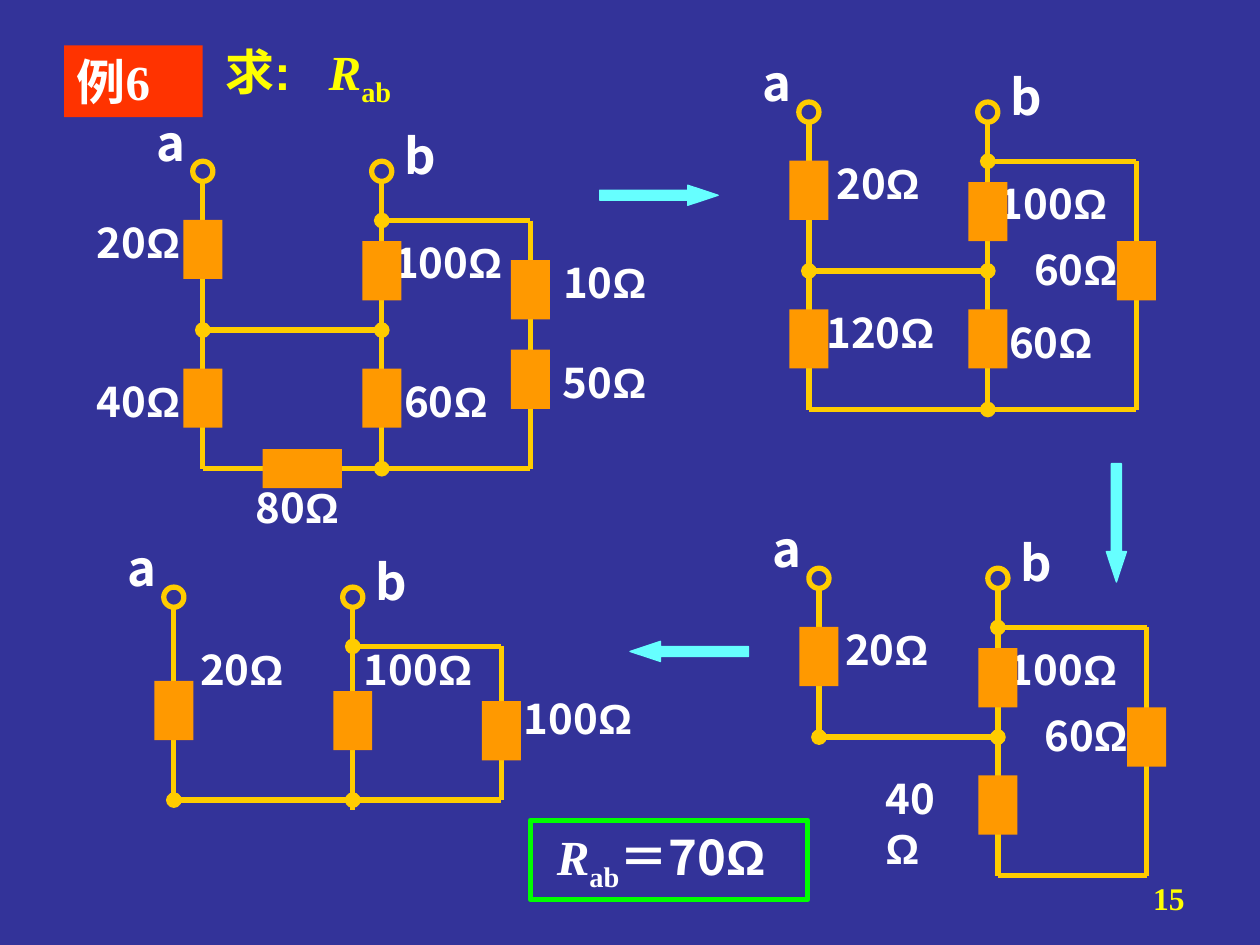
"""Build the worked example that reduces a resistor network to find R_ab."""
from lxml import etree
from pptx import Presentation, util as u
from pptx.dml.color import RGBColor
from pptx.enum import shapes, text
from pptx.oxml.ns import qn

NAVY = RGBColor(0x33, 0x33, 0x99)
RED = RGBColor(0xFF, 0x33, 0x00)
WHITE = RGBColor(0xFF, 0xFF, 0xFF)
YELLOW = RGBColor(0xFF, 0xFF, 0x00)
GOLD = RGBColor(0xFF, 0xCC, 0x00)
ORANGE = RGBColor(0xFF, 0x99, 0x00)
CYAN = RGBColor(0x66, 0xFF, 0xFF)
GREEN = RGBColor(0x00, 0xFF, 0x00)

SANS, ARIAL, SERIF = "Noto Sans CJK SC", "Arial", "Times New Roman"
A_X, B_X, RIGHT_X = 0, 1.42, 2.6
TERMINAL_R, TOP_Y, MID_Y, LOW_Y, SHORT_Y = 0.08, 0.39, 1.26, 2.36, 1.61
UPRIGHT, FLAT = (0.31, 0.47), (0.63, 0.31)

RIGHT_LOOP = [(B_X, TOP_Y, RIGHT_X, TOP_Y, "head"),
              (RIGHT_X, TOP_Y, RIGHT_X, LOW_Y, ""),
              (B_X, LOW_Y, RIGHT_X, LOW_Y, ""),
              (B_X, TERMINAL_R, B_X, LOW_Y, ""),
              (A_X, MID_Y, B_X, MID_Y, "head tail")]
FULL_WIRES = RIGHT_LOOP + [(A_X, TERMINAL_R, A_X, LOW_Y, ""),
                           (A_X, LOW_Y, B_X, LOW_Y, "tail")]
OPEN_WIRES = RIGHT_LOOP + [(A_X, TERMINAL_R, A_X, MID_Y, "")]
SHORT_WIRES = [(A_X, TERMINAL_R, A_X, SHORT_Y, ""),
               (A_X, SHORT_Y, B_X, SHORT_Y, "head tail"),
               (B_X, TOP_Y, RIGHT_X, TOP_Y, "head"),
               (RIGHT_X, TOP_Y, RIGHT_X, SHORT_Y, ""),
               (B_X, SHORT_Y, RIGHT_X, SHORT_Y, ""),
               (B_X, TERMINAL_R, B_X, SHORT_Y + 0.08, "")]

# Each resistor: ohms, centre x, centre y, size, label left, top and width.
CIRCUITS = [
    ((1.61, 1.36), FULL_WIRES, [
        ("20", A_X, 0.62, UPRIGHT, -0.94, 0.31, 1.1),
        ("40", A_X, 1.8, UPRIGHT, -0.94, 1.57, 1.1),
        ("80", 0.79, LOW_Y, FLAT, 0.32, 2.41, 1.1),
        ("100", B_X, 0.79, UPRIGHT, 1.42, 0.47, 1.1),
        ("60", B_X, 1.8, UPRIGHT, 1.5, 1.57, 1.02),
        ("10", RIGHT_X, 0.94, UPRIGHT, 2.76, 0.63, 1.02),
        ("50", RIGHT_X, 1.65, UPRIGHT, 2.76, 1.42, 1.1)]),
    ((6.42, 0.89), FULL_WIRES, [
        ("20", A_X, 0.62, UPRIGHT, 0.12, 0.31, 1.1),
        ("120", A_X, 1.8, UPRIGHT, 0.04, 1.49, 1.1),
        ("100", B_X, 0.79, UPRIGHT, 1.41, 0.47, 1.1),
        ("60", B_X, 1.8, UPRIGHT, 1.49, 1.57, 1.02),
        ("60", RIGHT_X, MID_Y, UPRIGHT, 1.69, 0.99, 1.1)]),
    ((6.5, 4.59), OPEN_WIRES, [
        ("20", A_X, 0.62, UPRIGHT, 0.11, 0.31, 1.1),
        ("100", B_X, 0.79, UPRIGHT, 1.41, 0.47, 1.1),
        ("40", B_X, 1.8, UPRIGHT, 0.43, 1.49, 0.83),
        ("60", RIGHT_X, MID_Y, UPRIGHT, 1.69, 0.99, 1.1)]),
    ((1.38, 4.74), SHORT_WIRES, [
        ("20", A_X, 0.9, UPRIGHT, 0.11, 0.32, 1.1),
        ("100", B_X, 0.98, UPRIGHT, 1.41, 0.32, 1.1),
        ("100", RIGHT_X, 1.06, UPRIGHT, 2.68, 0.71, 1.1)]),
]


def inches(*lengths):
    """Convert lengths to Inches."""
    return [u.Inches(length) for length in lengths]


def write(holder, runs, size, color, align=text.PP_ALIGN.LEFT, tab=None, left=0.1):
    """Write (words, font, style) runs into the first paragraph."""
    frame = holder.text_frame
    frame.word_wrap = True
    frame.vertical_anchor = text.MSO_ANCHOR.TOP
    frame.margin_left = u.Inches(left)
    paragraph = frame.paragraphs[0]
    paragraph.alignment = align
    if tab:
        stops = etree.SubElement(paragraph._p.get_or_add_pPr(), qn("a:tabLst"))
        etree.SubElement(stops, qn("a:tab"), pos=str(u.Inches(tab)), algn="l")
    for words, face, style in runs:
        run = paragraph.add_run()
        run.text = words
        font = run.font
        font.size, font.bold, font.name = u.Pt(size), True, face
        font.italic = style == "italic"
        font.color.rgb = color
        properties = run._r.get_or_add_rPr()
        etree.SubElement(properties, qn("a:ea"), typeface=SANS)
        if style == "sub":
            properties.set("baseline", "-25000")


def add_text(slide, at, runs, size, color, **layout):
    """Add a text box."""
    write(slide.shapes.add_textbox(*inches(*at)), runs, size, color, **layout)


def add_block(slide, kind, at, fill=None, line=None, width=3):
    """Add a preset shape with optional fill and outline."""
    block = slide.shapes.add_shape(kind, *inches(*at))
    block.shadow.inherit = False
    if fill is None:
        block.fill.background()
    else:
        block.fill.solid()
        block.fill.fore_color.rgb = fill
    if line is None:
        block.line.fill.background()
    else:
        block.line.color.rgb = line
        block.line.width = u.Pt(width)
    return block


def add_wire(slide, start, end, dots):
    """Add a wire with round junction dots at the named ends."""
    wire = slide.shapes.add_connector(shapes.MSO_CONNECTOR.STRAIGHT, *inches(*start, *end))
    wire.line.color.rgb = GOLD
    wire.line.width = u.Pt(3)
    for dot in dots.split():
        etree.SubElement(wire.line._get_or_add_ln(), qn(f"a:{dot}End"), type="oval")
    etree.SubElement(wire._element.spPr, qn("a:effectLst"))


def add_circuit(slide, origin, wires, resistors):
    """Draw one circuit from the centre of its terminal a."""
    x0, y0 = origin
    for name, x, label_x, label_y in (("a", A_X, -0.47, -0.52), ("b", B_X, 1.5, -0.41)):
        add_block(slide, shapes.MSO_SHAPE.OVAL,
                  (x0 + x - TERMINAL_R, y0 - TERMINAL_R, 2 * TERMINAL_R, 2 * TERMINAL_R),
                  line=GOLD)
        add_text(slide, (x0 + label_x, y0 + label_y, 0.39, 0.57),
                 [(name, SANS, "")], 28, WHITE)
    for x1, y1, x2, y2, dots in wires:
        add_wire(slide, (x0 + x1, y0 + y1), (x0 + x2, y0 + y2), dots)

    def add_labels(in_front):
        """Label the branches left of b in front, the others behind."""
        for ohms, x, _, _, left, top, width in resistors:
            if (x < B_X) == in_front:
                add_text(slide, (x0 + left, y0 + top, width, 0.5),
                         [(ohms, SANS, ""), ("Ω", ARIAL, "")], 24, WHITE)

    add_labels(False)
    for _, x, y, (width, height), *_ in resistors:
        add_block(slide, shapes.MSO_SHAPE.RECTANGLE,
                  (x0 + x - width / 2, y0 + y - height / 2, width, height), fill=ORANGE)
    add_labels(True)


def add_step_arrow(slide, left, top, turn):
    """Add an arrow leading to the next simplification."""
    arrow = add_block(slide, shapes.MSO_SHAPE.RIGHT_ARROW, (left, top, 0.94, 0.16),
                      CYAN, CYAN, 0.75)
    arrow.adjustments[0], arrow.adjustments[1] = 0.5, 1.51
    arrow.rotation = turn


def main():
    """Build and save the slide."""
    deck = Presentation()
    deck.slide_width, deck.slide_height = inches(10, 7.5)
    slide = deck.slides.add_slide(deck.slide_layouts[6])
    slide.background.fill.solid()
    slide.background.fill.fore_color.rgb = NAVY

    r_ab = [("R", SERIF, "italic"), ("ab", SERIF, "sub")]
    example = add_block(slide, shapes.MSO_SHAPE.RECTANGLE, (0.51, 0.36, 1.1, 0.57), RED)
    write(example, [("例6", SERIF, "")], 28, WHITE)
    add_text(slide, (1.69, 0.28, 1.65, 0.63), [("求:\t", ARIAL, "")] + r_ab,
             28, YELLOW, tab=0.82)

    for origin, wires, resistors in CIRCUITS:
        add_circuit(slide, origin, wires, resistors)
    for left, top, turn in ((4.76, 1.47, 0), (8.39, 4.07, 90), (5, 5.09, 180)):
        add_step_arrow(slide, left, top, turn)

    answer = add_block(slide, shapes.MSO_SHAPE.RECTANGLE, (4.21, 6.51, 2.2, 0.63), line=GREEN)
    write(answer, r_ab + [("＝", SERIF, ""), ("70", SANS, ""), ("Ω", ARIAL, "")],
          28, WHITE, left=0.21)
    add_text(slide, (7.17, 6.93, 2.33, 0.52), [("15", SERIF, "")], 18, YELLOW,
             align=text.PP_ALIGN.RIGHT)
    deck.save("out.pptx")


if __name__ == "__main__":
    main()
